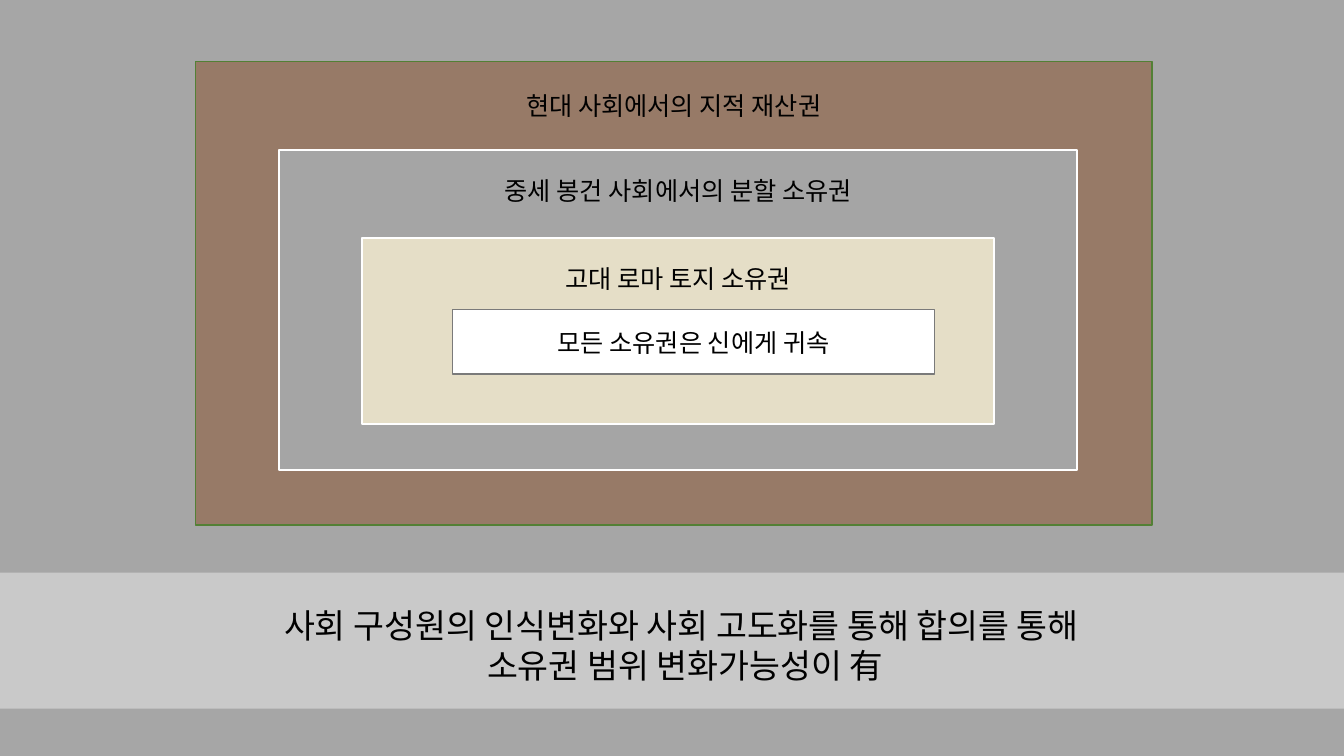
from pptx import Presentation
from pptx.dml.color import RGBColor
from pptx.enum.shapes import MSO_SHAPE as SHAPE
from pptx.enum.text import MSO_ANCHOR as ANCHOR, PP_ALIGN as ALIGN
from pptx.util import Pt

COLORS = {
    "background": "A6A6A6", "band": "C9C9C9", "text": "000000",
    "brown": "977A67", "green": "538035", "gray": "A5A5A5",
    "cream": "E5DEC7", "white": "FFFFFF", "dark gray": "7A7A7A",
}
FONT = "Noto Sans CJK KR"


def color(name):
    return RGBColor.from_string(COLORS[name])


def write(sp, lines, size=18, top=3.6):
    tf = sp.text_frame
    tf.word_wrap = True
    tf.vertical_anchor = ANCHOR.TOP
    tf.margin_top = Pt(top)
    for i, text in enumerate(lines):
        p = tf.paragraphs[0] if i == 0 else tf.add_paragraph()
        p.alignment = ALIGN.CENTER
        r = p.add_run()
        r.text = text
        r.font.size = Pt(size)
        r.font.name = FONT
        r.font.color.rgb = color("text")


prs = Presentation()
prs.slide_width, prs.slide_height = Pt(960), Pt(540)
s = prs.slides.add_slide(prs.slide_layouts[6])
s.background.fill.solid()
s.background.fill.fore_color.rgb = color("background")

# Band and nested boxes, outermost first:
# left, top, width, height, fill, line, line width, text, text inset
boxes = [
    (0, 409, 960, 97.2, "band", None, 0, None, 0),
    (139.6, 43.9, 683.3, 331.2, "brown", "green", 1,
     "현대 사회에서의 지적 재산권", 20.3),
    (199.4, 107.3, 570.2, 228.2, "gray", "white", 1.5,
     "중세 봉건 사회에서의 분할 소유권", 17.9),
    (258.5, 169.9, 451.4, 133.2, "cream", "white", 1.5,
     "고대 로마 토지 소유권", 17.9),
    (323.3, 221, 344.2, 46.1, "white", "dark gray", 1,
     "모든 소유권은 신에게 귀속", 13.1),
]
for left, top, width, height, fill, line, weight, text, inset in boxes:
    sp = s.shapes.add_shape(SHAPE.RECTANGLE, Pt(left), Pt(top), Pt(width), Pt(height))
    sp.shadow.inherit = False
    sp.fill.solid()
    sp.fill.fore_color.rgb = color(fill)
    if line:
        sp.line.color.rgb = color(line)
        sp.line.width = Pt(weight)
    else:
        sp.line.fill.background()
    if text:
        write(sp, [text], top=inset)

# Conclusion on the band
conclusion = s.shapes.add_textbox(Pt(149), Pt(428.4), Pt(675.4), Pt(65.5))
write(conclusion, ["사회 구성원의 인식변화와 사회 고도화를 통해 합의를 통해",
                   " 소유권 범위 변화가능성이 有"], size=24)

prs.save("out.pptx")
